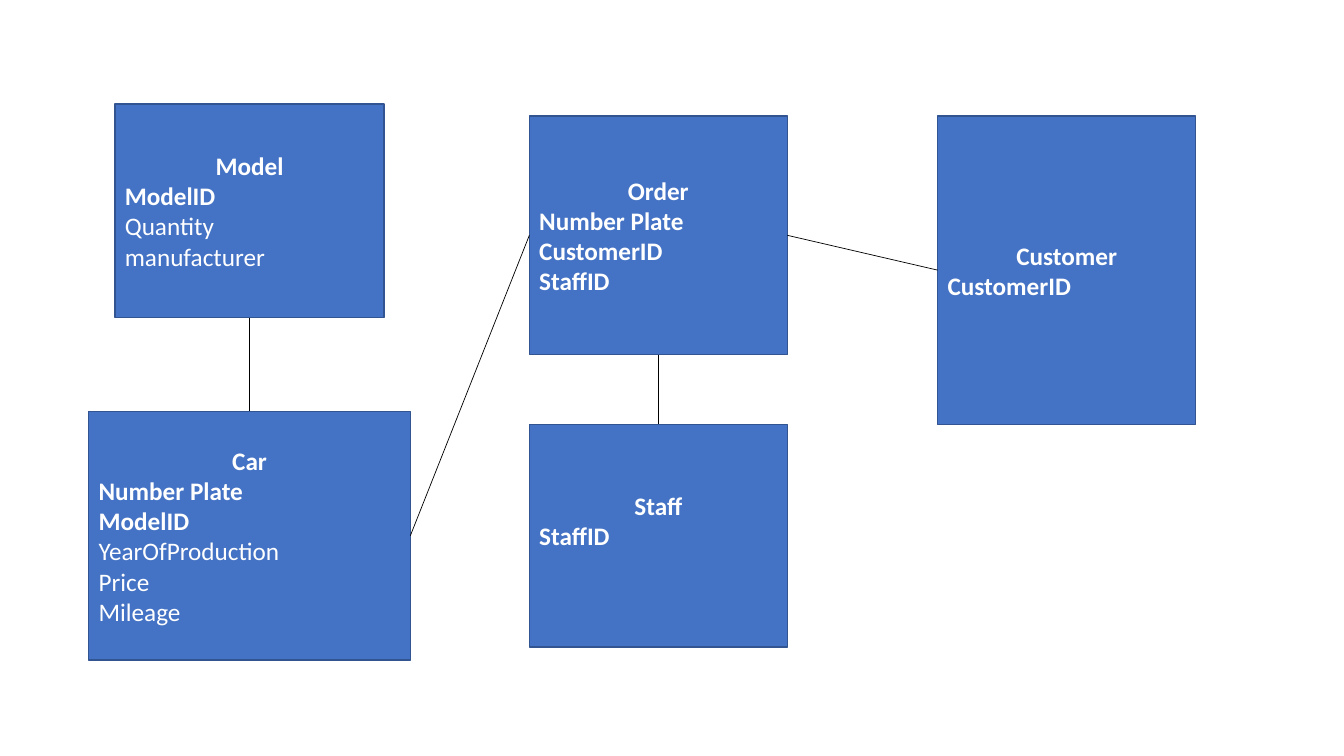
import pptx
import pptx.util
import pptx.dml.color
import pptx.enum.shapes
import pptx.enum.text
import pptx.oxml.ns
import lxml.etree

Inches = pptx.util.Inches
Pt = pptx.util.Pt
RGBColor = pptx.dml.color.RGBColor

ENTITY_FILL = RGBColor(0x44, 0x72, 0xC4)
ENTITY_BORDER = RGBColor(0x32, 0x54, 0x91)
ENTITY_TEXT = RGBColor(0xFF, 0xFF, 0xFF)
RELATION_COLOR = RGBColor(0, 0, 0)
TOP, LEFT, BOTTOM, RIGHT = range(4)

ENTITIES = {
    "Model": dict(box=(1.14, 1.03, 2.67, 2.12), keys=["ModelID"],
                  fields=["Quantity", "manufacturer"]),
    "Car": dict(box=(0.88, 4.08, 3.19, 2.47), keys=["Number Plate", "ModelID"],
                fields=["YearOfProduction", "Price", "Mileage"]),
    "Order": dict(box=(5.25, 1.15, 2.56, 2.37),
                  keys=["Number Plate", "CustomerID", "StaffID"]),
    "Customer": dict(box=(9.3, 1.15, 2.56, 3.06), keys=["CustomerID"]),
    "Staff": dict(box=(5.25, 4.21, 2.56, 2.21), keys=["StaffID"], bottom_inset=0.35),
}
RELATIONS = [
    ("Model", BOTTOM, "Car", TOP),
    ("Car", RIGHT, "Order", LEFT),
    ("Order", RIGHT, "Customer", LEFT),
    ("Order", BOTTOM, "Staff", TOP),
]


def write_line(paragraph, text, bold=False, centered=False):
    align = pptx.enum.text.PP_ALIGN
    paragraph.alignment = align.CENTER if centered else align.LEFT
    run = paragraph.add_run()
    run.text = text
    run.font.name = "Calibri"
    run.font.size = Pt(18)
    run.font.bold = bold
    run.font.color.rgb = ENTITY_TEXT


def add_entity(slide, name, box, keys, fields=(), bottom_inset=0.05):
    entity = slide.shapes.add_shape(
        pptx.enum.shapes.MSO_SHAPE.RECTANGLE, *map(Inches, box))
    entity.shadow.inherit = False
    entity.fill.solid()
    entity.fill.fore_color.rgb = ENTITY_FILL
    entity.line.color.rgb = ENTITY_BORDER
    entity.line.width = Pt(1)
    frame = entity.text_frame
    frame.word_wrap = True
    frame.vertical_anchor = pptx.enum.text.MSO_ANCHOR.MIDDLE
    frame.margin_bottom = Inches(bottom_inset)
    write_line(frame.paragraphs[0], name, bold=True, centered=True)
    for attribute in [*keys, *fields]:
        write_line(frame.add_paragraph(), attribute, bold=attribute in keys)
    return entity


def add_relation(slide, start, start_side, end, end_side):
    relation = slide.shapes.add_connector(
        pptx.enum.shapes.MSO_CONNECTOR.STRAIGHT, 0, 0, 0, 0)
    relation.begin_connect(start, start_side)
    relation.end_connect(end, end_side)
    relation.line.color.rgb = RELATION_COLOR
    relation.line.width = Pt(0.5)
    lxml.etree.SubElement(relation._element.spPr, pptx.oxml.ns.qn("a:effectLst"))


def main():
    deck = pptx.Presentation()
    deck.slide_width = Inches(13.33)
    deck.slide_height = Inches(7.5)
    slide = deck.slides.add_slide(deck.slide_layouts[6])
    entities = {name: add_entity(slide, name, **content)
                for name, content in ENTITIES.items()}
    for start, start_side, end, end_side in RELATIONS:
        add_relation(slide, entities[start], start_side, entities[end], end_side)
    deck.save("out.pptx")


if __name__ == "__main__":
    main()
